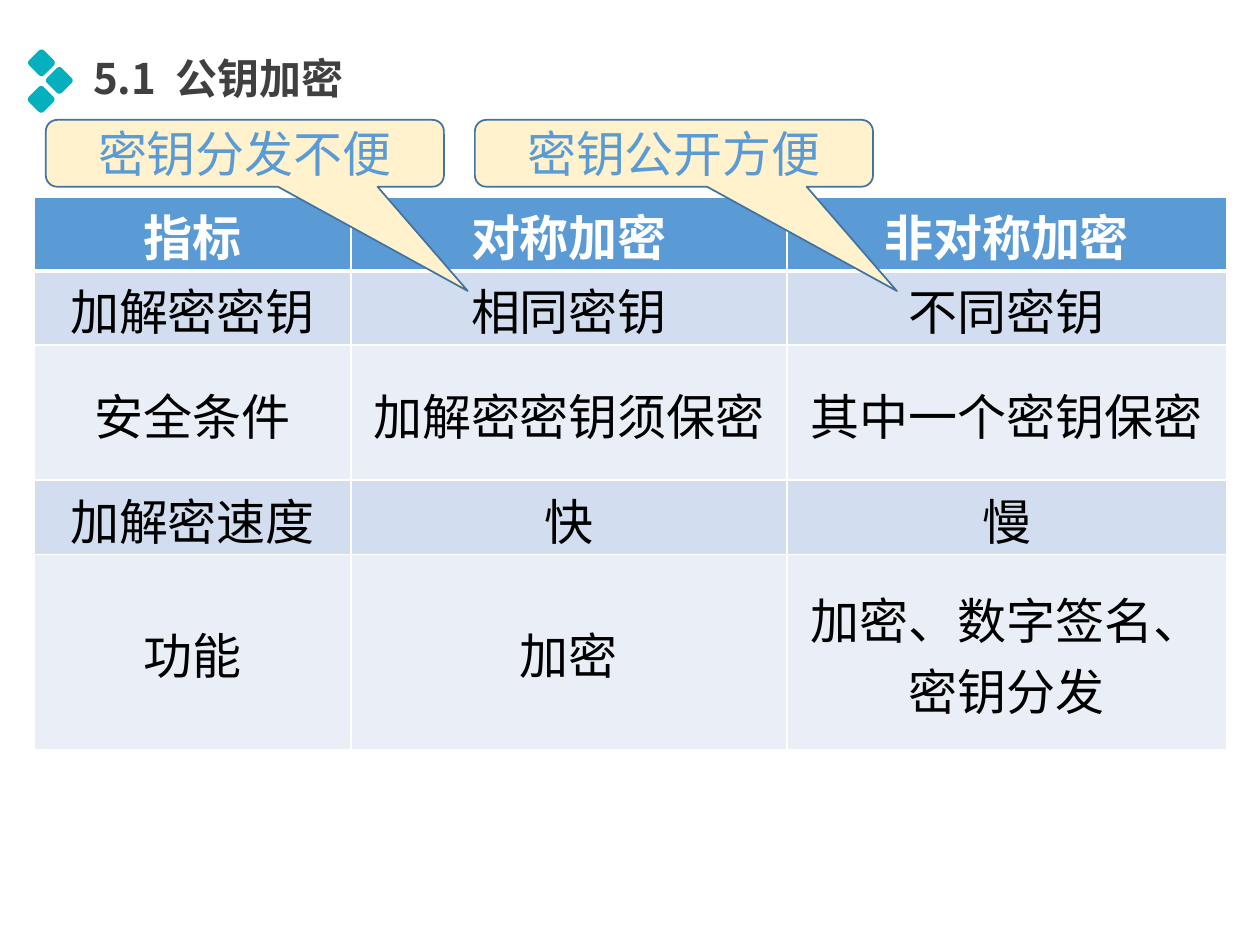
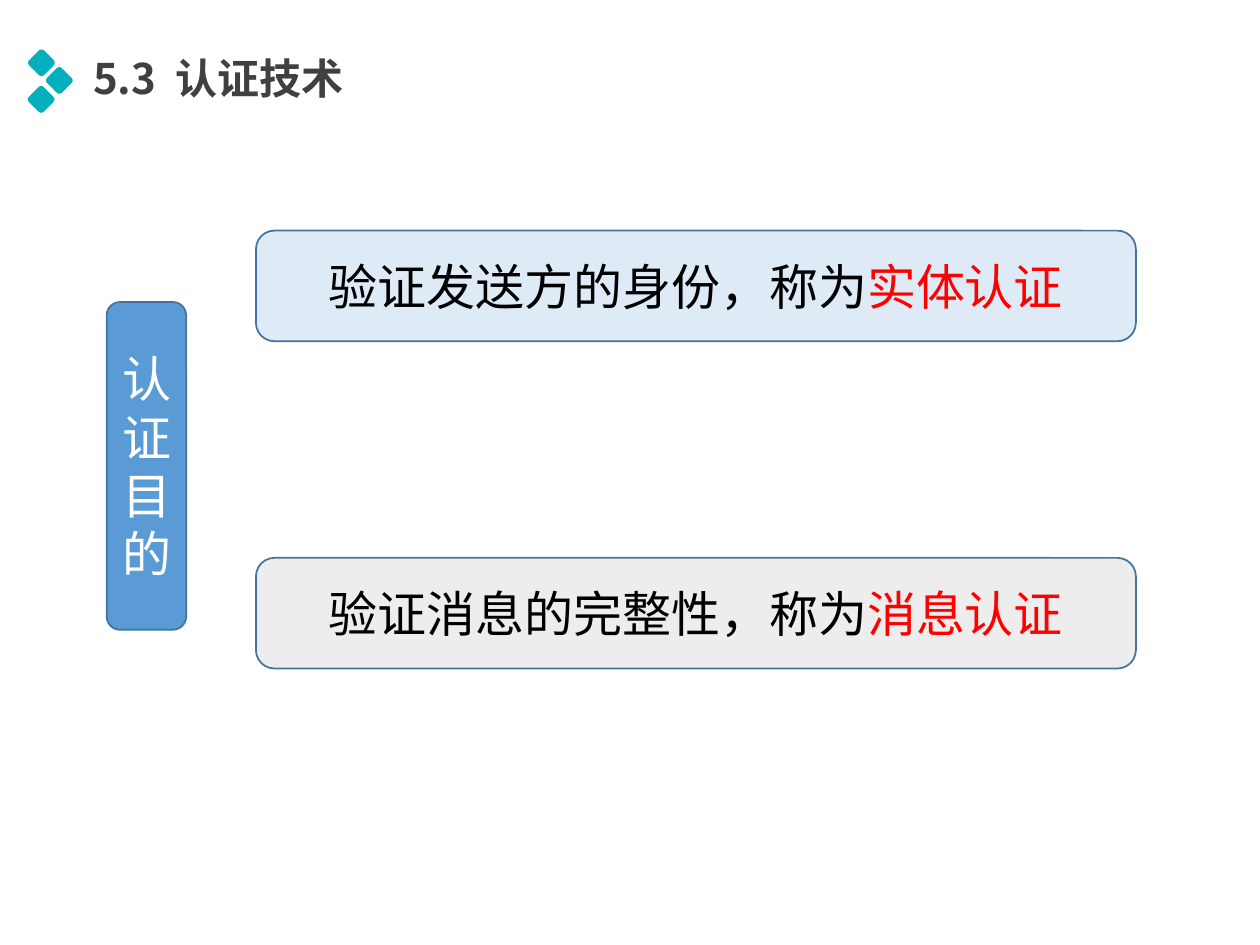
from lxml.etree import SubElement
from pptx import Presentation
from pptx.dml.color import RGBColor
from pptx.enum.shapes import MSO_SHAPE
from pptx.enum.text import MSO_ANCHOR, MSO_AUTO_SIZE, PP_ALIGN
from pptx.oxml.ns import qn
from pptx.util import Pt

# Shared style
BLUE, OUTLINE, TEAL = "5B9BD5", "43739E", "04B0BE"
DARK, BLACK, WHITE, RED = "404040", "000000", "FFFFFF", "FF0000"
CREAM, PALE_BLUE, PALE_GREY = "FFF2CC", "DEEBF7", "EDEDED"
BANDS = ("D2DEEF", "EAEFF7")
CJK, LATIN = "Noto Sans CJK SC", "Calibri"
BODY = 28


def rgb(value):
    return RGBColor.from_string(value)


class Deck:
    def __init__(self):
        self.prs = Presentation()
        self.prs.slide_width, self.prs.slide_height = Pt(720), Pt(540)
        self.s = None

    def slide(self, number, title):
        self.s = self.prs.slides.add_slide(self.prs.slide_layouts[5])
        # Three small diamonds beside the title
        for cx, cy in ((23.7, 35.9), (33.9, 46), (23.5, 56.8)):
            self.box(MSO_SHAPE.ROUNDED_RECTANGLE, cx - 6, cy - 6, 12, 12, TEAL,
                     line=None).rotation = 45
        # Title
        sp = self.s.shapes.title
        sp.left, sp.top, sp.width, sp.height = Pt(48.2), Pt(28.8), Pt(218), Pt(34.6)
        tf = sp.text_frame
        tf.auto_size, tf.word_wrap = MSO_AUTO_SIZE.NONE, True
        tf.vertical_anchor = MSO_ANCHOR.MIDDLE
        tf.margin_left = tf.margin_right = Pt(5)
        tf.margin_top = tf.margin_bottom = Pt(3)
        p = tf.paragraphs[0]
        self.text(p, [(number, None), (" ", None), (title, None)], CJK, DARK,
                  size=24, bold=True, align=PP_ALIGN.LEFT)
        p.line_spacing = 0.9
        # Widen the single space after the number
        p.runs[1]._r.get_or_add_rPr().set("spc", "540")

    def text(self, p, parts, font, color, size=BODY, bold=False, align=PP_ALIGN.CENTER):
        """Fill a paragraph with (text, own colour or None) parts."""
        p.alignment = align
        p.font.size, p.font.bold, p.font.name = Pt(size), bold, font
        p.font.color.rgb = rgb(color)
        SubElement(p._p.pPr.find(qn("a:defRPr")), qn("a:ea"), typeface=CJK)
        for words, own in parts:
            r = p.add_run()
            r.text = words
            if own:
                r.font.color.rgb = rgb(own)

    def box(self, kind, x, y, w, h, fill, line=OUTLINE):
        sp = self.s.shapes.add_shape(kind, Pt(x), Pt(y), Pt(w), Pt(h))
        sp.shadow.inherit = False
        sp.fill.solid()
        sp.fill.fore_color.rgb = rgb(fill)
        if line:
            sp.line.color.rgb, sp.line.width = rgb(line), Pt(1)
        else:
            sp.line.fill.background()
        return sp

    def label(self, kind, x, y, w, h, fill, parts, font, color):
        sp = self.box(kind, x, y, w, h, fill)
        tf = sp.text_frame
        tf.word_wrap, tf.vertical_anchor = True, MSO_ANCHOR.MIDDLE
        self.text(tf.paragraphs[0], parts, font, color)
        return sp

    def callout(self, x, words):
        sp = self.label(MSO_SHAPE.ROUNDED_RECTANGULAR_CALLOUT, x, 68.5, 227.5, 38.2,
                        CREAM, [(words, None)], LATIN, BLUE)
        for i, value in enumerate((0.56, 2.06, 0.17)):
            sp.adjustments[i] = value

    def borders(self, cell, **widths):
        tc_pr = cell._tc.get_or_add_tcPr()
        for side in "LRTB":
            ln = SubElement(tc_pr, qn(f"a:ln{side}"), w=str(int(Pt(widths.get(side, 1)))))
            fill = SubElement(ln, qn("a:solidFill"))
            SubElement(fill, qn("a:srgbClr"), val=WHITE)

    def table(self, x, y, widths, heights, rows):
        table = self.s.shapes.add_table(len(rows), len(widths), Pt(x), Pt(y),
                                        Pt(sum(widths)), Pt(sum(heights))).table
        for column, w in zip(table.columns, widths):
            column.width = Pt(w)
        for i, (h, entries) in enumerate(zip(heights, rows)):
            table.rows[i].height = Pt(h)
            header = i == 0
            for j, words in enumerate(entries):
                cell = table.cell(i, j)
                self.borders(cell, T=3 if i == 1 else 1, B=3 if header else 1)
                cell.fill.solid()
                cell.fill.fore_color.rgb = rgb(BLUE if header else BANDS[(i - 1) % 2])
                cell.vertical_anchor = MSO_ANCHOR.MIDDLE
                cell.margin_top, cell.margin_bottom = Pt(1.8), 0
                self.text(cell.text_frame.paragraphs[0], [(words, None)], LATIN,
                          WHITE if header else BLACK, bold=header)


def main():
    deck = Deck()

    # Slide 1: comparison of the two kinds of encryption
    deck.slide("5.1", "公钥加密")
    deck.table(19.4, 112.5, (181.2, 249, 251.2), (42.2, 42.5, 77, 42.5, 111.6), [
        ("指标", "对称加密", "非对称加密"),
        ("加解密密钥", "相同密钥", "不同密钥"),
        ("安全条件", "加解密密钥须保密", "其中一个密钥保密"),
        ("加解密速度", "快", "慢"),
        ("功能", "加密", "加密、数字签名、密钥分发"),
    ])
    for i, words in enumerate(("密钥分发不便", "密钥公开方便")):
        deck.callout(26.2 + i * 245.2, words)

    # Slide 2: purposes of authentication
    deck.slide("5.3", "认证技术")
    purpose = deck.label(MSO_SHAPE.ROUNDED_RECTANGLE, 61, 172.6, 45.4, 187.3, BLUE,
                         [("认证目的", None)], CJK, WHITE)
    purpose.text_frame.paragraphs[0].line_spacing = Pt(33.3)
    goals = (("验证发送方的身份，称为", "实体认证", PALE_BLUE),
             ("验证消息的完整性，称为", "消息认证", PALE_GREY))
    for i, (words, term, fill) in enumerate(goals):
        deck.label(MSO_SHAPE.ROUNDED_RECTANGLE, 146.3, 131.8 + i * 187, 502.8, 63.2, fill,
                   [(words, None), (term, RED)], CJK, BLACK)

    deck.prs.save("out.pptx")


if __name__ == "__main__":
    main()
